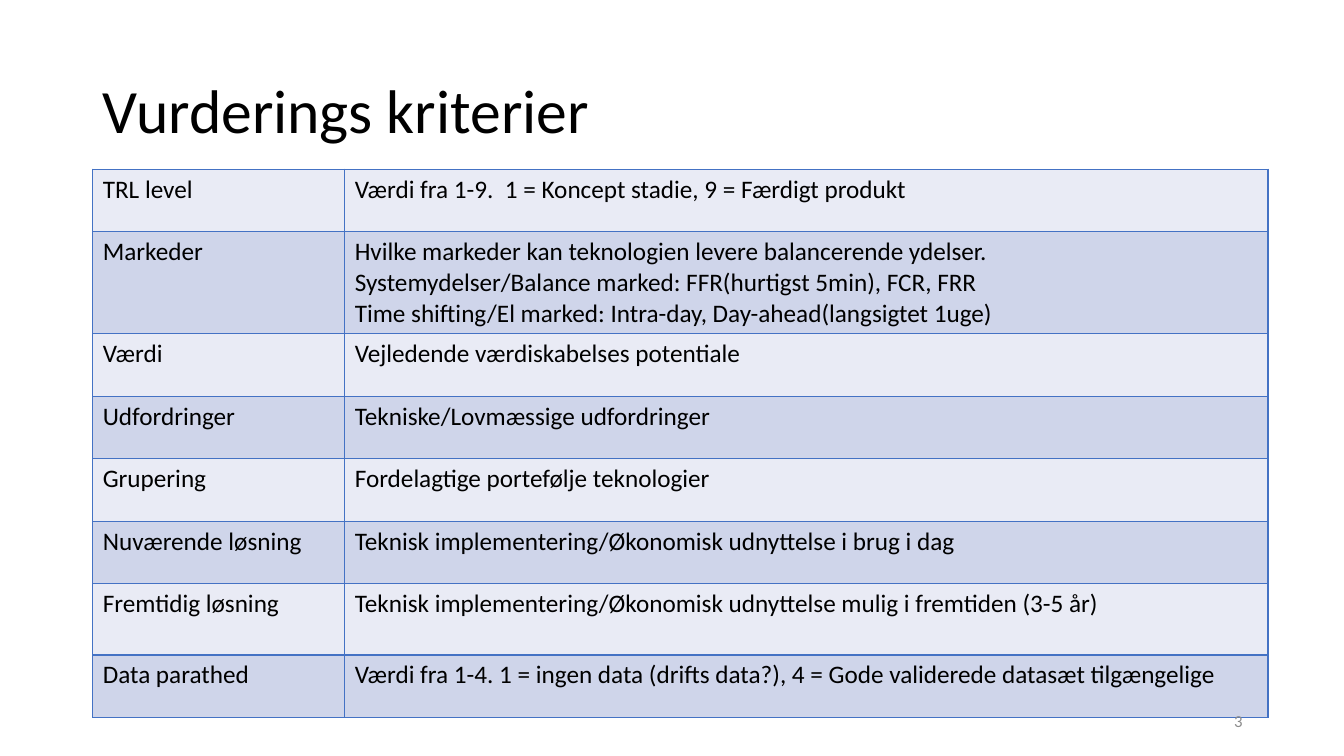
import dataclasses

import lxml.etree
import pptx
import pptx.dml.color
import pptx.enum.text
import pptx.oxml.ns
import pptx.slide
import pptx.table
import pptx.text.text
import pptx.util

SLIDE_WIDTH = pptx.util.Inches(13.33)
SLIDE_HEIGHT = pptx.util.Inches(7.5)
FONT = "Calibri"
COLOURS = {
    "text": "000000",
    "page number": "8C8C8C",
    "border": "4472C4",
    "odd row": "E9EBF5",
    "even row": "CFD5EA",
}
# Shares of the slide's width and height
TABLE_LEFT, TABLE_TOP = 0.069, 0.224
COLUMN_SHARES = (0.1875, 0.687)
ROW_SHARE = 0.0827


@dataclasses.dataclass(frozen=True)
class Caption:
    text: str
    left: float
    top: float
    width: float
    height: float
    size: int
    colour: str = "text"
    align: pptx.enum.text.PP_ALIGN = pptx.enum.text.PP_ALIGN.LEFT
    line_spacing: float = 1.0


@dataclasses.dataclass(frozen=True)
class Criterion:
    name: str
    description: tuple[str, ...]
    height: float = ROW_SHARE


CAPTIONS = (
    Caption("Vurderings kriterier", 0.069, 0.053, 0.863, 0.193, 44, line_spacing=0.9),
    Caption("3", 0.707, 0.927, 0.225, 0.053, 12, "page number",
            pptx.enum.text.PP_ALIGN.RIGHT),
)
CRITERIA = (
    Criterion("TRL level", ("Værdi fra 1-9.  1 = Koncept stadie, 9 = Færdigt produkt",)),
    Criterion("Markeder", (
        "Hvilke markeder kan teknologien levere balancerende ydelser.",
        "Systemydelser/Balance marked: FFR(hurtigst 5min), FCR, FRR",
        "Time shifting/El marked: Intra-day, Day-ahead(langsigtet 1uge)",
    ), 0.135),
    Criterion("Værdi", ("Vejledende værdiskabelses potentiale",)),
    Criterion("Udfordringer", ("Tekniske/Lovmæssige udfordringer",)),
    Criterion("Grupering", ("Fordelagtige portefølje teknologier",)),
    Criterion("Nuværende løsning",
              ("Teknisk implementering/Økonomisk udnyttelse i brug i dag",)),
    Criterion("Fremtidig løsning",
              ("Teknisk implementering/Økonomisk udnyttelse mulig i fremtiden (3-5 år)",),
              0.094),
    Criterion("Data parathed", (
        "Værdi fra 1-4. 1 = ingen data (drifts data?), 4 = Gode validerede datasæt tilgængelige",
    )),
)


def across(share: float) -> int:
    return round(SLIDE_WIDTH * share)


def down(share: float) -> int:
    return round(SLIDE_HEIGHT * share)


def rgb(colour: str) -> pptx.dml.color.RGBColor:
    return pptx.dml.color.RGBColor.from_string(COLOURS[colour])


def add_run(paragraph: pptx.text.text._Paragraph, text: str, size: int,
            colour: str = "text") -> None:
    run = paragraph.add_run()
    run.text = text
    run.font.name = FONT
    run.font.size = pptx.util.Pt(size)
    run.font.color.rgb = rgb(colour)


def add_caption(slide: pptx.slide.Slide, caption: Caption) -> None:
    frame = slide.shapes.add_textbox(
        across(caption.left), down(caption.top),
        across(caption.width), down(caption.height)).text_frame
    frame.word_wrap = True
    frame.vertical_anchor = pptx.enum.text.MSO_ANCHOR.MIDDLE
    paragraph = frame.paragraphs[0]
    paragraph.alignment = caption.align
    paragraph.line_spacing = caption.line_spacing
    add_run(paragraph, caption.text, caption.size, caption.colour)


def add_borders(cell: pptx.table._Cell) -> None:
    """Outline the cell; call before filling, since lines precede the fill in XML."""
    qn = pptx.oxml.ns.qn
    properties = cell._tc.get_or_add_tcPr()
    for side in ("lnL", "lnR", "lnT", "lnB"):
        line = lxml.etree.SubElement(properties, qn(f"a:{side}"), w=str(pptx.util.Pt(1)))
        fill = lxml.etree.SubElement(line, qn("a:solidFill"))
        lxml.etree.SubElement(fill, qn("a:srgbClr"), val=COLOURS["border"])


def fill_cell(cell: pptx.table._Cell, lines: tuple[str, ...], band: str) -> None:
    add_borders(cell)
    cell.fill.solid()
    cell.fill.fore_color.rgb = rgb(band)
    frame = cell.text_frame
    for index, line in enumerate(lines):
        add_run(frame.add_paragraph() if index else frame.paragraphs[0], line, 18)


def add_criteria(slide: pptx.slide.Slide) -> None:
    table = slide.shapes.add_table(
        len(CRITERIA), len(COLUMN_SHARES), across(TABLE_LEFT), down(TABLE_TOP),
        across(sum(COLUMN_SHARES)),
        down(sum(criterion.height for criterion in CRITERIA))).table
    table.first_row = False
    table.horz_banding = False
    for column, share in zip(table.columns, COLUMN_SHARES):
        column.width = across(share)
    for index, (row, criterion) in enumerate(zip(table.rows, CRITERIA)):
        row.height = down(criterion.height)
        band = "even row" if index % 2 else "odd row"
        for cell, lines in zip(row.cells, ((criterion.name,), criterion.description)):
            fill_cell(cell, lines, band)


def main() -> None:
    presentation = pptx.Presentation()
    presentation.slide_width = SLIDE_WIDTH
    presentation.slide_height = SLIDE_HEIGHT
    slide = presentation.slides.add_slide(presentation.slide_layouts[6])
    title, page_number = CAPTIONS
    add_caption(slide, title)
    add_criteria(slide)
    add_caption(slide, page_number)
    presentation.save("out.pptx")


if __name__ == "__main__":
    main()
